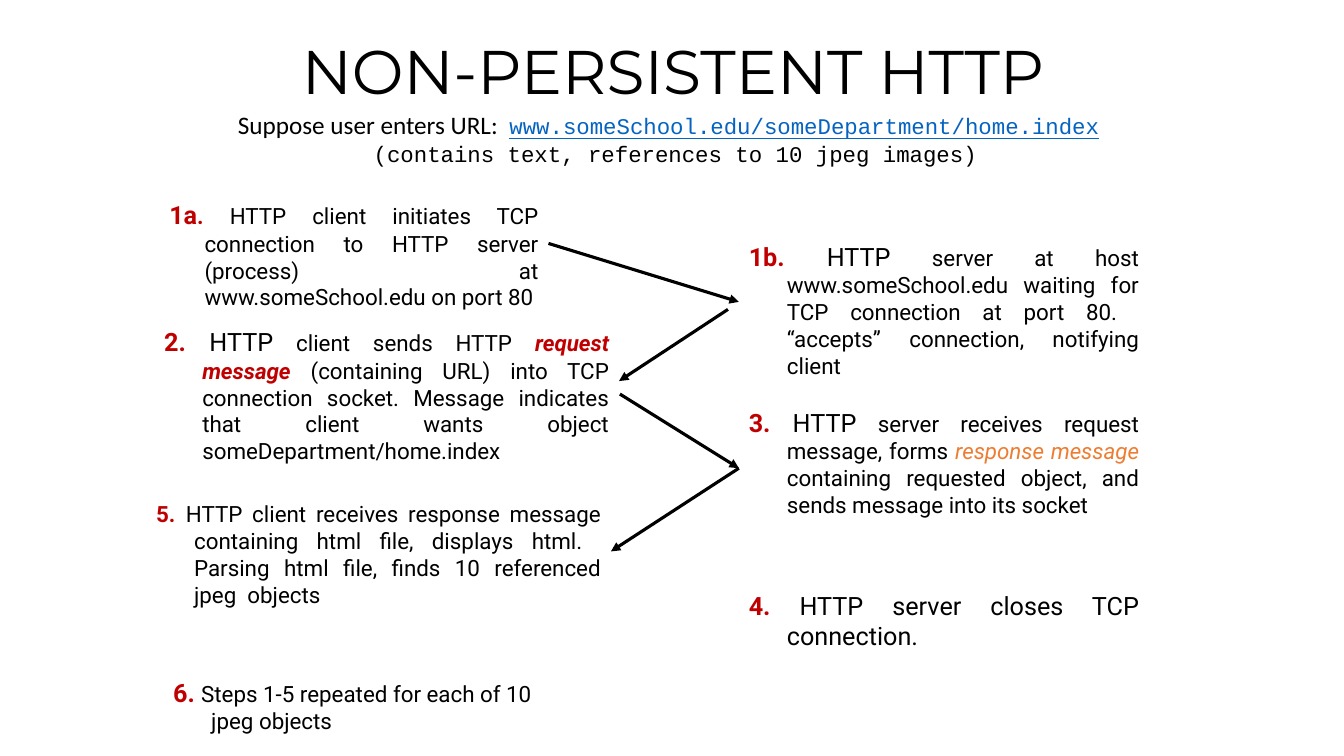
from dataclasses import dataclass

from lxml import etree
from pptx import Presentation
from pptx.dml.color import RGBColor
from pptx.enum.shapes import MSO_CONNECTOR
from pptx.enum.text import MSO_ANCHOR, MSO_AUTO_SIZE, PP_ALIGN
from pptx.oxml.ns import qn
from pptx.util import Pt

STRAIGHT = MSO_CONNECTOR.STRAIGHT
CENTER, JUSTIFY, LEFT = PP_ALIGN.CENTER, PP_ALIGN.JUSTIFY, PP_ALIGN.LEFT
TOP = MSO_ANCHOR.TOP
GROW = MSO_AUTO_SIZE.SHAPE_TO_FIT_TEXT
LEFT_SIDE, RIGHT_SIDE = 1, 3


@dataclass(frozen=True)
class Theme:
    """Colours, fonts and type sizes of the slide."""
    ink: RGBColor = RGBColor(0x00, 0x00, 0x00)
    number: RGBColor = RGBColor(0xC0, 0x00, 0x00)
    accent: RGBColor = RGBColor(0xED, 0x7D, 0x31)
    link: RGBColor = RGBColor(0x05, 0x63, 0xC1)
    heading_font: str = "Montserrat"
    intro_font: str = "Calibri"
    code_font: str = "Courier New"
    body_font: str = "Roboto"
    heading: float = 44
    large: float = 18
    body: float = 16
    arrow: float = 2.25


THEME = Theme()


def number(text, size=THEME.large):
    """Describe a step number."""
    return text, dict(size=size, color=THEME.number, bold=True)


def large(text):
    """Describe a run in the larger body size."""
    return text, dict(size=THEME.large)


def plain(text):
    """Describe a run in the normal body size."""
    return text, {}


def code(text, **style):
    """Describe a run in the fixed-width font."""
    return text, dict(font=THEME.code_font, **style)


def add_run(para, text, font=THEME.body_font, size=THEME.body, color=THEME.ink,
            bold=False, italic=False, underline=False):
    """Append one formatted run to a paragraph."""
    span = para.add_run()
    span.text = text
    span.font.name = font
    span.font.size = Pt(size)
    span.font.color.rgb = color
    span.font.bold = bold
    span.font.italic = italic
    span.font.underline = underline


def add_text(page, box, paragraphs, align, hanging=0):
    """Add a wrapped text box holding paragraphs of runs."""
    shape = page.shapes.add_textbox(*map(Pt, box))
    frame = shape.text_frame
    frame.word_wrap = True
    for index, runs in enumerate(paragraphs):
        para = frame.add_paragraph() if index else frame.paragraphs[0]
        para.alignment = align
        if hanging:
            properties = para._p.get_or_add_pPr()
            properties.set("marL", str(Pt(hanging)))
            properties.set("indent", str(-Pt(hanging)))
        for text, style in runs:
            add_run(para, text, **style)
    return shape


def add_title(page, box):
    """Place and format the slide title."""
    title = page.shapes.title
    title.left, title.top, title.width, title.height = map(Pt, box)
    frame = title.text_frame
    frame.word_wrap = False
    frame.auto_size = GROW
    frame.vertical_anchor = TOP
    para = frame.paragraphs[0]
    para.alignment = CENTER
    add_run(para, "NON-PERSISTENT HTTP", font=THEME.heading_font, size=THEME.heading)


def add_intro(page, box):
    """Add the two centred lines that set the scene."""
    url = "www.someSchool.edu/someDepartment/home.index"
    lines = [
        [("Suppose user enters URL:  ", dict(font=THEME.intro_font, size=THEME.large)),
         code(url, color=THEME.link, underline=True), code(" ")],
        [code("(contains text, references to 10 jpeg images)")],
    ]
    add_text(page, box, lines, CENTER).text_frame.auto_size = GROW


def add_client_steps(page, box):
    """Add the client's steps down the left column and return them by name."""
    left, top, width, height = box
    connect = [
        number("1a"), number(".", THEME.body),
        plain(" HTTP client initiates TCP connection to HTTP server (process) at "
              "www.someSchool.edu on port 80"),
    ]
    request = [
        number("2."), large(" HTTP"), plain(" client sends HTTP "),
        ("request message ", dict(color=THEME.number, bold=True, italic=True)),
        plain("(containing URL) into TCP connection socket. Message indicates that "
              "client wants object someDepartment/home.index"),
    ]
    receive = [
        number("5.", THEME.body), large(" "),
        plain("HTTP client receives response message containing html file, displays "
              "html.  Parsing html file, finds 10 referenced jpeg  objects"),
    ]
    repeat = [number("6. "), plain("Steps 1-5 repeated for each of 10 jpeg objects")]
    steps = [
        ("1a", 9.4, 0, 278, 69.8, connect, JUSTIFY, 25.2),
        ("2", 5.8, 90.7, 332, 85, request, JUSTIFY, 27.2),
        ("5", 0, 212.4, 332, 85, receive, JUSTIFY, 27.2),
        ("6", 12.2, 341.2, 300, 52.6, repeat, LEFT, 27.2),
    ]
    return {name: add_text(page, (left + dx, top + dy, wide, high), [runs], align, hanging)
            for name, dx, dy, wide, high, runs, align, hanging in steps}


def add_server_steps(page, box):
    """Add the server's steps down the right column and return them by name."""
    left, top, width, height = box
    accept = [
        number("1b."), large(" HTTP"),
        plain(" server at host www.someSchool.edu waiting for TCP connection at port "
              "80.  “accepts” connection, notifying client"),
    ]
    respond = [
        number("3."), large(" HTTP"), plain(" server receives request message, forms "),
        ("response message", dict(color=THEME.accent, italic=True)),
        plain(" containing requested object, and sends message into its socket"),
    ]
    close = [number("4."), large(" HTTP server closes TCP connection. ")]
    steps = [("1b", 0, 94.3, accept), ("3", 118.8, 94.3, respond), ("4", 249.8, 50.4, close)]
    return {name: add_text(page, (left, top + dy, width, high), [runs], JUSTIFY, 27.2)
            for name, dy, high, runs in steps}


def add_arrow(page, start=(0, 0), end=(0, 0), source=None, target=None):
    """Draw an arrow between points, or joined to (shape, side) pairs."""
    arrow = page.shapes.add_connector(STRAIGHT, *map(Pt, (*start, *end)))
    if source:
        arrow.begin_connect(*source)
    if target:
        arrow.end_connect(*target)
    arrow.line.color.rgb = THEME.ink
    arrow.line.width = Pt(THEME.arrow)
    etree.SubElement(arrow.line._get_or_add_ln(), qn("a:tailEnd"), type="triangle")
    etree.SubElement(arrow._element.spPr, qn("a:effectLst"))


def add_exchange(page, client, server):
    """Draw the messages that pass between client and server."""
    add_arrow(page, source=(client["1a"], RIGHT_SIDE), target=(server["1b"], LEFT_SIDE))
    add_arrow(page, start=(520, 221), target=(client["2"], RIGHT_SIDE))
    add_arrow(page, start=(442.8, 281.5), target=(server["3"], LEFT_SIDE))
    add_arrow(page, source=(server["3"], LEFT_SIDE), target=(client["5"], RIGHT_SIDE))


def main():
    """Build the deck and save it."""
    deck = Presentation()
    deck.slide_width, deck.slide_height = Pt(960), Pt(540)
    page = deck.slides.add_slide(deck.slide_layouts[5])
    add_title(page, (200.9, 20.2, 560.2, 60.5))
    add_intro(page, (6.5, 74.9, 951.8, 48.2))
    client = add_client_steps(page, (104.4, 139, 338, 394))
    server = add_server_steps(page, (527.8, 168.5, 293, 300))
    add_exchange(page, client, server)
    deck.save("out.pptx")


if __name__ == "__main__":
    main()
